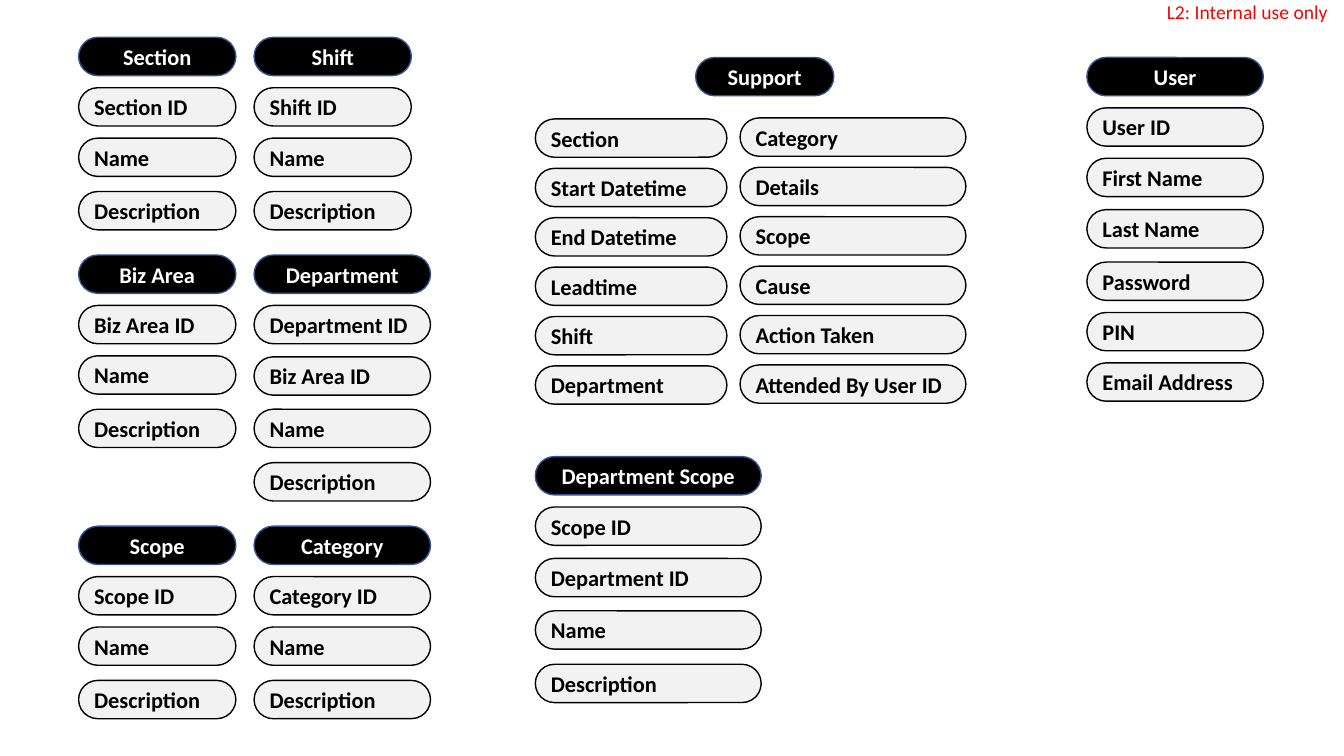
from dataclasses import dataclass

from pptx import Presentation
from pptx.dml.color import RGBColor
from pptx.enum import shapes, text
from pptx.util import Inches, Pt


@dataclass(frozen=True)
class Theme:
    font: str = "Calibri"
    pill_size: int = 16
    notice_size: int = 14
    notice: str = "FF0000"
    header_fill: str = "000000"
    header_line: str = "325491"
    header_text: str = "FFFFFF"
    field_fill: str = "F2F2F2"
    field_line: str = "000000"
    field_text: str = "000000"


theme = Theme()
PILL_HEIGHT = 0.38
SUPPORT_PITCH = 0.49

# Row offsets below an entity's header, by number of fields
FIELD_OFFSETS = {
    3: (0.5, 1.0, 1.53),
    4: (0.5, 1.01, 1.53, 2.06),
    6: (0.5, 1.0, 1.51, 2.03, 2.53, 3.03),
}

# Header, left, top, width, fields
ENTITIES = [
    ("Section", 0.78, 0.37, 1.56, ["Section ID", "Name", "Description"]),
    ("Shift", 2.52, 0.37, 1.56, ["Shift ID", "Name", "Description"]),
    ("Biz Area", 0.78, 2.53, 1.56, ["Biz Area ID", "Name", "Description"]),
    ("Department", 2.52, 2.53, 1.75,
     ["Department ID", "Biz Area ID", "Name", "Description"]),
    ("Scope", 0.78, 5.22, 1.56, ["Scope ID", "Name", "Description"]),
    ("Category", 2.52, 5.22, 1.75, ["Category ID", "Name", "Description"]),
    ("Department Scope", 5.31, 4.53, 2.24,
     ["Scope ID", "Department ID", "Name", "Description"]),
    ("User", 10.78, 0.57, 1.75,
     ["User ID", "First Name", "Last Name", "Password", "PIN", "Email Address"]),
]

# Left, top, width, fields
SUPPORT_COLUMNS = [
    (5.31, 1.18, 1.9, ["Section", "Start Datetime", "End Datetime",
                       "Leadtime", "Shift", "Department"]),
    (7.34, 1.17, 2.24, ["Category", "Details", "Scope", "Cause",
                        "Action Taken", "Attended By User ID"]),
]

presentation = Presentation()
presentation.slide_width = Inches(13.33)
presentation.slide_height = Inches(7.5)
slide = presentation.slides.add_slide(presentation.slide_layouts[6])


def add_pill(label, left, top, width, header=False):
    """Draw a black header pill or a grey field pill."""
    if header:
        fill, line, color = theme.header_fill, theme.header_line, theme.header_text
    else:
        fill, line, color = theme.field_fill, theme.field_line, theme.field_text
    shape = slide.shapes.add_shape(
        shapes.MSO_SHAPE.ROUNDED_RECTANGLE,
        Inches(left), Inches(top), Inches(width), Inches(PILL_HEIGHT))
    shape.adjustments[0] = 0.5
    shape.shadow.inherit = False
    shape.fill.solid()
    shape.fill.fore_color.rgb = RGBColor.from_string(fill)
    shape.line.color.rgb = RGBColor.from_string(line)
    shape.line.width = Pt(1)
    shape.text_frame.vertical_anchor = text.MSO_ANCHOR.MIDDLE
    paragraph = shape.text_frame.paragraphs[0]
    paragraph.text = label
    paragraph.alignment = text.PP_ALIGN.CENTER if header else text.PP_ALIGN.LEFT
    paragraph.font.name = theme.font
    paragraph.font.size = Pt(theme.pill_size)
    paragraph.font.bold = True
    paragraph.font.color.rgb = RGBColor.from_string(color)


notice = slide.shapes.add_textbox(Inches(11.53), 0, Inches(1.64), Inches(0.23))
frame = notice.text_frame
frame.margin_left = frame.margin_right = frame.margin_top = frame.margin_bottom = 0
frame.word_wrap = True
paragraph = frame.paragraphs[0]
paragraph.text = "L2: Internal use only"
paragraph.alignment = text.PP_ALIGN.RIGHT
paragraph.font.name = theme.font
paragraph.font.size = Pt(theme.notice_size)
paragraph.font.color.rgb = RGBColor.from_string(theme.notice)

for name, left, top, width, fields in ENTITIES:
    add_pill(name, left, top, width, header=True)
    for field, offset in zip(fields, FIELD_OFFSETS[len(fields)]):
        add_pill(field, left, top + offset, width)

add_pill("Support", 6.9, 0.57, 1.37, header=True)
for left, top, width, fields in SUPPORT_COLUMNS:
    for row, field in enumerate(fields):
        add_pill(field, left, top + row * SUPPORT_PITCH, width)

presentation.save("out.pptx")
